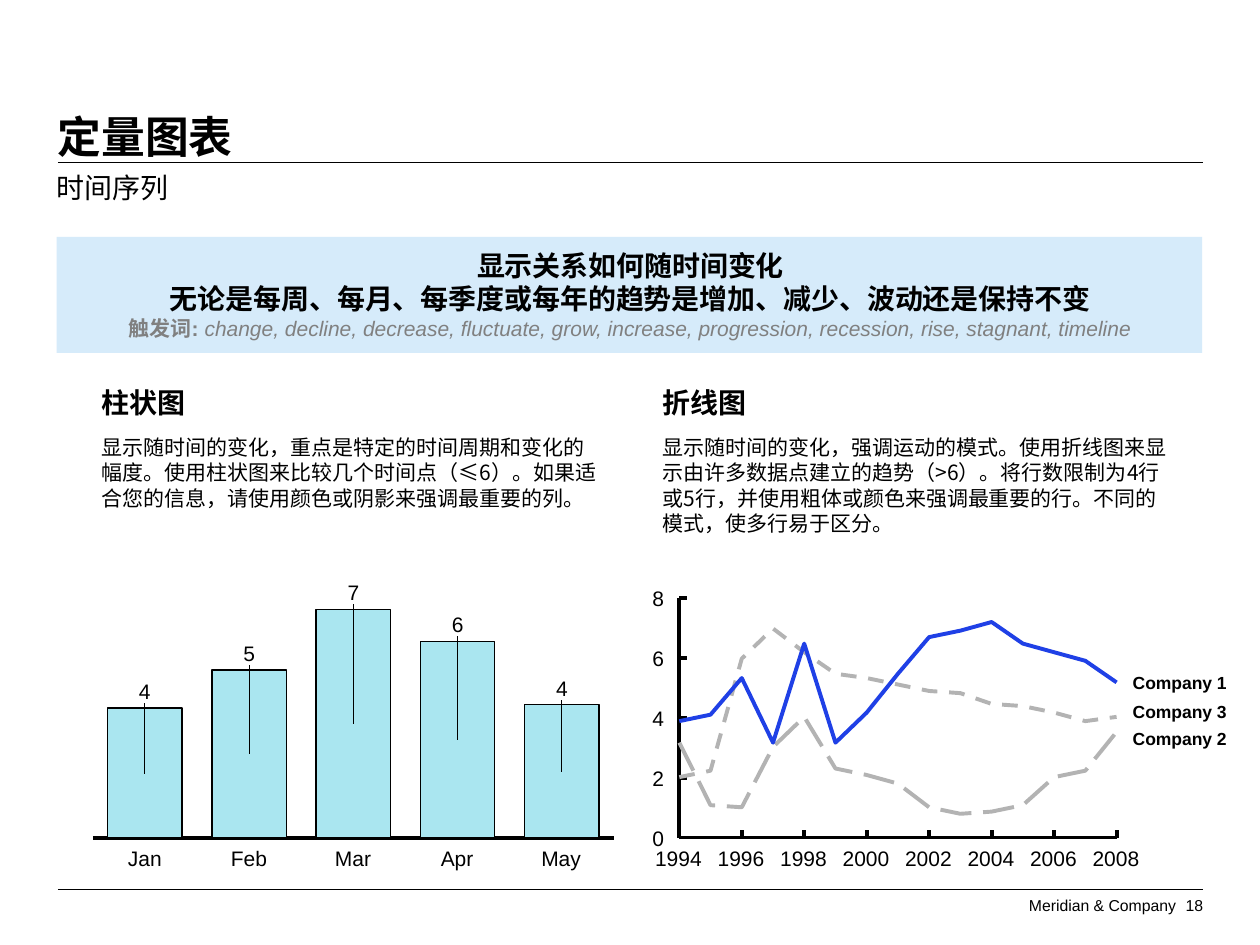
from lxml.etree import SubElement
from pptx import Presentation
from pptx.chart.data import CategoryChartData, XyChartData
from pptx.dml.color import RGBColor
from pptx.enum.chart import XL_CHART_TYPE, XL_LABEL_POSITION, XL_TICK_LABEL_POSITION, XL_TICK_MARK
from pptx.enum.dml import MSO_LINE
from pptx.enum.shapes import MSO_CONNECTOR, MSO_SHAPE
from pptx.enum.text import MSO_ANCHOR, PP_ALIGN
from pptx.oxml import parse_xml
from pptx.oxml.ns import nsdecls, qn
from pptx.util import Inches, Pt

CJK, LATIN = "Noto Sans CJK SC", "Arial"
BLACK, GREY, SILVER = "000000", "808080", "B3B3B3"
BLUE, AQUA, PALE = "1F40E6", "AAE6F0", "D6EBFA"


def color(value):
    return RGBColor.from_string(value)


def apply(target, values):
    for name, value in values.items():
        setattr(target, name, value)


def layout_xml(**values):
    items = "".join(f'<c:{name} val="{value}"/>' for name, value in values.items())
    return parse_xml(f'<c:layout {nsdecls("c")}><c:manualLayout>{items}</c:manualLayout></c:layout>')


class SlideBuilder:
    def __init__(self, slide):
        self.slide = slide
        self.shapes = slide.shapes

    def fill_text(self, shape, paragraphs, align=PP_ALIGN.LEFT, anchor=MSO_ANCHOR.TOP, wrap=True):
        frame = shape.text_frame
        apply(frame, dict(margin_left=0, margin_top=0, margin_right=0, margin_bottom=0,
                          word_wrap=wrap, vertical_anchor=anchor))
        for index, runs in enumerate(paragraphs):
            paragraph = frame.add_paragraph() if index else frame.paragraphs[0]
            paragraph.alignment = align
            for text, size, face, style in runs:
                self.add_run(paragraph, text, size, face, **style)
            if any(face == CJK for _, _, face, _ in runs):
                paragraph.line_spacing = Pt(1.2 * runs[0][1])

    def add_run(self, paragraph, text, size, face, ink=BLACK, **style):
        run = paragraph.add_run()
        run.text = text
        apply(run.font, dict(size=Pt(size), name=face, **style))
        run.font.color.rgb = color(ink)
        SubElement(run.font._element, qn("a:ea")).set("typeface", face)

    def title(self, text, left, top, width, height):
        title = self.shapes.title
        apply(title, dict(left=Inches(left), top=Inches(top), width=Inches(width), height=Inches(height)))
        self.fill_text(title, [[(text, 25, CJK, dict(bold=True))]], anchor=MSO_ANCHOR.BOTTOM)

    def text(self, left, top, width, height, paragraphs, **options):
        box = self.shapes.add_textbox(Inches(left), Inches(top), Inches(width), Inches(height))
        self.fill_text(box, paragraphs, **options)

    def label(self, text, left, top, width, height, size=12, align=PP_ALIGN.CENTER,
              anchor=MSO_ANCHOR.MIDDLE, **style):
        self.text(left, top, width, height, [[(text, size, LATIN, style)]],
                  align=align, anchor=anchor, wrap=False)

    def rule(self, left, right, y):
        line = self.shapes.add_connector(MSO_CONNECTOR.STRAIGHT, Inches(left), Inches(y), Inches(right), Inches(y))
        line.line.width = Pt(0.5)
        line.line.color.rgb = color(BLACK)
        SubElement(line._element.spPr, qn("a:effectLst"))

    def band(self, left, top, width, height, fill):
        band = self.shapes.add_shape(MSO_SHAPE.RECTANGLE, Inches(left), Inches(top), Inches(width), Inches(height))
        band.shadow.inherit = False
        band.fill.solid()
        band.fill.fore_color.rgb = color(fill)
        band.line.fill.background()

    def chart(self, kind, left, top, width, height, data, plot_area):
        chart = self.shapes.add_chart(kind, Inches(left), Inches(top), Inches(width), Inches(height), data).chart
        apply(chart, dict(has_legend=False, has_title=False))
        apply(chart.font, dict(size=Pt(10), name=LATIN))
        chart.font.color.rgb = color(BLACK)
        chart.plots[0].vary_by_categories = False
        area = chart.element.find(".//" + qn("c:plotArea"))
        for empty_layout in area.findall(qn("c:layout")):
            area.remove(empty_layout)
        x, y, w, h = plot_area
        area.insert(0, layout_xml(layoutTarget="inner", xMode="edge", yMode="edge", x=x, y=y, w=w, h=h))
        return chart

    def axis(self, axis, tick, **scale):
        apply(axis, dict(has_major_gridlines=False, has_minor_gridlines=False, major_tick_mark=tick,
                         minor_tick_mark=XL_TICK_MARK.NONE,
                         tick_label_position=XL_TICK_LABEL_POSITION.NONE, **scale))
        axis.format.line.width = Pt(2.25)
        axis.format.line.color.rgb = color(BLACK)

    def column_chart(self, left, top, width, height, values):
        data = CategoryChartData()
        data.categories = [str(number + 1) for number in range(len(values))]
        data.add_series("Series 1", values)
        plot_height = 0.72
        chart = self.chart(XL_CHART_TYPE.COLUMN_STACKED, left, top, width, height, data,
                           (0.02, 0.166, 0.96, plot_height))
        self.axis(chart.category_axis, XL_TICK_MARK.NONE)
        peak = max(values)
        apply(chart.value_axis, dict(visible=False, has_major_gridlines=False,
                                     minimum_scale=0, maximum_scale=peak))
        apply(chart.plots[0], dict(gap_width=40, overlap=100))
        columns = chart.plots[0].series[0]
        columns.format.fill.solid()
        columns.format.fill.fore_color.rgb = color(AQUA)
        columns.format.line.width = Pt(0.75)
        columns.format.line.color.rgb = color(BLACK)
        for index in range(len(values)):
            value_label = columns.points[index].data_label
            value_label.font.size = Pt(12)
            value_label.position = XL_LABEL_POSITION.CENTER
        for value, entry in zip(values, chart.element.iter(qn("c:dLbl"))):
            rise = value / peak * plot_height / 2 + 0.05
            number = entry.find(qn("c:idx"))
            number.addnext(parse_xml(f'<c:numFmt {nsdecls("c")} formatCode="0" sourceLinked="0"/>'))
            number.addnext(layout_xml(x=0, y=round(-rise, 3)))

    def line_chart(self, left, top, width, height, years, lines):
        data = XyChartData()
        for number, (values, _, _) in enumerate(lines, 1):
            points = data.add_series(f"Series {number}")
            for year, value in zip(years, values):
                points.add_data_point(year, value)
        chart = self.chart(XL_CHART_TYPE.XY_SCATTER_LINES_NO_MARKERS, left, top, width, height, data,
                           (0.025, 0.043, 0.951, 0.913))
        self.axis(chart.category_axis, XL_TICK_MARK.INSIDE,
                  minimum_scale=years[0], maximum_scale=years[-1], major_unit=2)
        self.axis(chart.value_axis, XL_TICK_MARK.INSIDE, minimum_scale=0, maximum_scale=111, major_unit=27.75)
        for series, (_, ink, dash) in zip(chart.plots[0].series, lines):
            series.smooth = False
            apply(series.format.line, dict(width=Pt(2.25), dash_style=dash))
            series.format.line.color.rgb = color(ink)


def main():
    deck = Presentation()
    apply(deck, dict(slide_width=Inches(10), slide_height=Inches(7.5)))
    page = SlideBuilder(deck.slides.add_slide(deck.slide_layouts[5]))

    for y in (1.29, 7.06):
        page.rule(0.46, 9.55, y)
    page.label("Meridian & Company", 8.1, 7.11, 1.3, 0.15, size=9, anchor=MSO_ANCHOR.BOTTOM)
    page.label("18", 9.28, 7.11, 0.27, 0.15, size=9, align=PP_ALIGN.RIGHT, anchor=MSO_ANCHOR.BOTTOM)
    page.title("定量图表", 0.46, 0.79, 2.04, 0.5)
    page.text(0.45, 1.35, 3.57, 0.34, [[("时间序列", 16, CJK, {})]])

    page.band(0.45, 1.88, 9.09, 0.92, PALE)
    strong = dict(bold=True)
    triggers = "change, decline, decrease, fluctuate, grow, increase, progression, recession, rise, stagnant, timeline"
    page.text(0.46, 1.97, 9.09, 0.74, [
        [("显示关系如何随时间变化", 16, CJK, strong)],
        [("无论是每周、每月、每季度或每年的趋势是增加、减少、波动还是保持不变", 16, CJK, strong)],
        [("触发词", 12, CJK, dict(bold=True, ink=GREY)),
         (": ", 12, LATIN, dict(bold=True, ink=GREY)),
         (triggers, 12, LATIN, dict(italic=True, ink=GREY))],
    ], align=PP_ALIGN.CENTER)

    sections = [
        (0.81, 3.93, "柱状图", "显示随时间的变化，重点是特定的时间周期和变化的幅度。使用柱状图来比较几个时间点（≤6）。"
         "如果适合您的信息，请使用颜色或阴影来强调最重要的列。"),
        (5.26, 4.06, "折线图", "显示随时间的变化，强调运动的模式。使用折线图来显示由许多数据点建立的趋势（>6）。"
         "将行数限制为4行或5行，并使用粗体或颜色来强调最重要的行。不同的模式，使多行易于区分。"),
    ]
    for left, width, heading, advice in sections:
        page.text(left, 3.06, 1.74, 0.3, [[(heading, 16, CJK, strong)]])
        page.text(left, 3.45, width, 0.8, [[(advice, 12, CJK, {})]])

    page.column_chart(0.65, 4.42, 4.31, 2.52, [4.1, 5.3, 7.2, 6.2, 4.2])
    for index, month in enumerate(["Jan", "Feb", "Mar", "Apr", "May"]):
        page.label(month, 0.92 + 0.826 * index, 6.71, 0.46, 0.2)

    years = range(1994, 2009)
    page.line_chart(5.3, 4.66, 3.65, 2.08, years, [
        ([54, 57, 74, 44, 90, 44, 58, 76, 93, 96, 100, 90, 86, 82, 72], BLUE, MSO_LINE.SOLID),
        ([44, 15, 14, 42, 56, 32, 29, 25, 14, 11, 12, 15, 28, 31, 49], SILVER, MSO_LINE.LONG_DASH),
        ([28, 31, 83, 97, 86, 76, 74, 71, 68, 67, 62, 61, 58, 54, 56], SILVER, MSO_LINE.DASH),
    ])
    for index, year in enumerate(years[::2]):
        page.label(str(year), 5.15 + 0.496 * index, 6.71, 0.47, 0.2)
    for index in range(5):
        page.label(str(2 * index), 5.12, 6.55 - 0.475 * index, 0.15, 0.2, align=PP_ALIGN.RIGHT)
    for company, top in (("Company 1", 5.33), ("Company 3", 5.56), ("Company 2", 5.78)):
        page.label(company, 8.99, top, 0.8, 0.17, size=10, align=PP_ALIGN.LEFT, bold=True)

    deck.save("out.pptx")


if __name__ == "__main__":
    main()
